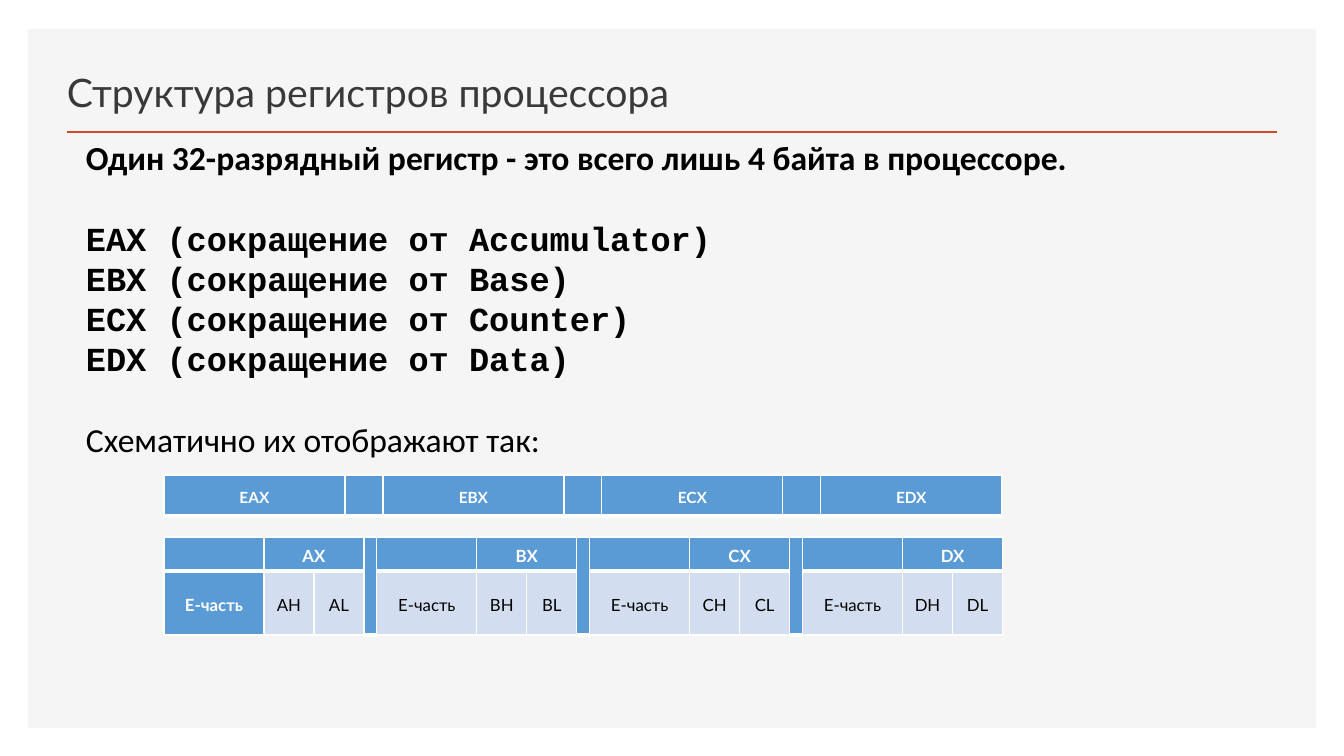
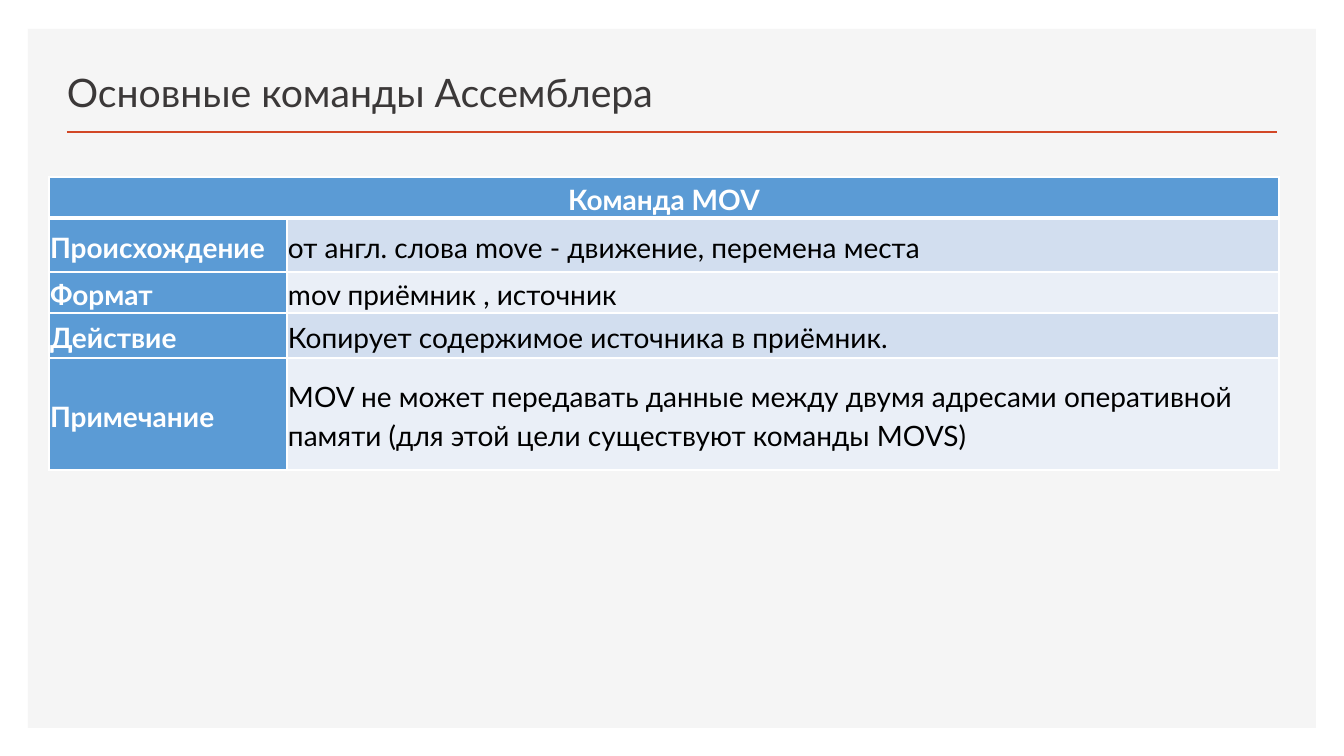
from dataclasses import dataclass

from lxml import etree
from pptx import Presentation
from pptx.dml.color import RGBColor
from pptx.enum.shapes import MSO_CONNECTOR, MSO_SHAPE
from pptx.enum.text import MSO_ANCHOR, PP_ALIGN
from pptx.oxml.ns import qn
from pptx.util import Emu, Pt

LEFT, CENTER = PP_ALIGN.LEFT, PP_ALIGN.CENTER
MIDDLE, BOTTOM = MSO_ANCHOR.MIDDLE, MSO_ANCHOR.BOTTOM
RECT, STRAIGHT = MSO_SHAPE.RECTANGLE, MSO_CONNECTOR.STRAIGHT
SCALE = 914400 / 100.8


@dataclass(frozen=True)
class Theme:
    panel: str = "F5F5F5"
    accent: str = "D24726"
    title: str = "3B3838"
    ink: str = "000000"
    white: str = "FFFFFF"
    head: str = "5B9BD5"
    band: str = "D2DEEF"
    pale: str = "EAEFF7"
    main: str = "Lato"
    body: str = "Calibri"
    code: str = "Courier New"
    title_size: int = 28
    body_size: int = 24
    big: int = 20
    medium: int = 12
    small: int = 11
    pitch: float = 28.8
    thin: int = 1
    thick: int = 3


THEME = Theme()


def px(value):
    return Emu(round(value * SCALE))


def rgb(value):
    return RGBColor.from_string(value)


def add_run(para, text, font, size, color, bold=False):
    run = para.add_run()
    run.text = text
    run.font.name = font
    run.font.size = Pt(size)
    run.font.bold = bold
    run.font.color.rgb = rgb(color)


def add_box(slide, left, top, width, height, anchor):
    box = slide.shapes.add_textbox(px(left), px(top), px(width), px(height))
    frame = box.text_frame
    frame.word_wrap = True
    frame.vertical_anchor = anchor
    return frame


def add_slide(deck, title):
    slide = deck.slides.add_slide(deck.slide_layouts[6])
    panel = slide.shapes.add_shape(RECT, px(28), px(29), px(1288), px(699))
    panel.shadow.inherit = False
    panel.fill.solid()
    panel.fill.fore_color.rgb = rgb(THEME.panel)
    panel.line.fill.background()
    rule = slide.shapes.add_connector(STRAIGHT, px(67), px(132), px(1277), px(132))
    rule.line.color.rgb = rgb(THEME.accent)
    rule.line.width = Pt(2)
    etree.SubElement(rule._element.spPr, qn("a:effectLst"))
    frame = add_box(slide, 57, 49, 1220, 71, BOTTOM)
    add_run(frame.paragraphs[0], title, THEME.main, THEME.title_size, THEME.title)
    return slide


def add_lines(slide, lines):
    frame = add_box(slide, 76, 130, 1220, 336, MIDDLE)
    for index, (text, font, bold, gap) in enumerate(lines):
        para = frame.paragraphs[0] if index == 0 else frame.add_paragraph()
        para.line_spacing = Pt(THEME.pitch)
        para.space_before = Pt(THEME.pitch if gap else 0)
        add_run(para, text, font, THEME.body_size, THEME.ink, bold)


def set_edges(cell, top, bottom):
    widths = {"L": THEME.thin, "R": THEME.thin, "T": top, "B": bottom}
    props = cell._tc.get_or_add_tcPr()
    for index, (side, width) in enumerate(widths.items()):
        edge = etree.Element(qn(f"a:ln{side}"), w=str(Pt(width)))
        fill = etree.SubElement(edge, qn("a:solidFill"))
        etree.SubElement(fill, qn("a:srgbClr"), val=THEME.white)
        props.insert(index, edge)


def fill_cell(cell, text, fill, align, size, inset):
    cell.fill.solid()
    cell.fill.fore_color.rgb = rgb(fill)
    cell.vertical_anchor = MIDDLE
    pad = px(inset if text else 1)
    cell.margin_left = cell.margin_right = pad
    cell.margin_top = cell.margin_bottom = pad
    para = cell.text_frame.paragraphs[0]
    para.alignment = align
    para.line_spacing = 1.15
    if text:
        head = fill == THEME.head
        color = THEME.white if head else THEME.ink
        add_run(para, text, THEME.main, size, color, head)


def add_grid(slide, left, top, cols, rows, cells, size, inset, spans=()):
    shape = slide.shapes.add_table(
        len(rows), len(cols), px(left), px(top), px(sum(cols)), px(sum(rows))
    )
    table = shape.table
    table.horz_banding = False
    for col, width in zip(table.columns, cols):
        col.width = px(width)
    for row, height in zip(table.rows, rows):
        row.height = px(height)
    for r, line in enumerate(cells):
        for c, (text, fill, align) in enumerate(line):
            cell = table.cell(r, c)
            fill_cell(cell, text, fill, align, size, inset)
            set_edges(
                cell,
                THEME.thick if r == 1 else THEME.thin,
                THEME.thick if r == 0 else THEME.thin,
            )
    for first, last in spans:
        table.cell(*first).merge(table.cell(*last))


def add_names(slide, names):
    cols, cells = [], []
    for name in names:
        if cells:
            cols.append(38)
            cells.append(("", THEME.head, CENTER))
        cols.append(181)
        cells.append((f"E{name}X", THEME.head, CENTER))
    add_grid(slide, 164, 475, cols, [40], [cells], THEME.small, 10)


def add_halves(slide, names):
    cols, heads, halves, spans = [], [], [], []
    blank = ("", THEME.head, CENTER)
    for name in names:
        tone = THEME.band if cols else THEME.head
        if cols:
            spans.append(((0, len(cols)), (1, len(cols))))
            cols.append(13)
            heads.append(blank)
            halves.append(blank)
        start = len(cols)
        spans.append(((0, start + 1), (0, start + 2)))
        cols += [100, 50, 50]
        heads += [blank, (f"{name}X", THEME.head, CENTER), blank]
        halves.append(("E-часть", tone, CENTER))
        halves += [(name + half, THEME.band, CENTER) for half in "HL"]
    add_grid(
        slide, 164, 537, cols, [34, 64], [heads, halves], THEME.medium, 2, spans
    )


def add_facts(slide, title, facts):
    cells = [[(title, THEME.head, CENTER), ("", THEME.head, CENTER)]]
    for index, (label, text) in enumerate(facts):
        tone = THEME.pale if index % 2 else THEME.band
        cells.append([(label, THEME.head, LEFT), (text, tone, LEFT)])
    rows = [41, 54, 41, 45, 112]
    spans = [((0, 0), (0, 1))]
    add_grid(slide, 49, 177, [238, 992], rows, cells, THEME.big, 1, spans)


def main():
    deck = Presentation()
    deck.slide_width, deck.slide_height = px(1344), px(756)

    slide = add_slide(deck, "Структура регистров процессора")
    words = ["Accumulator", "Base", "Counter", "Data"]
    intro = "Один 32-разрядный регистр - это всего лишь 4 байта в процессоре."
    lines = [(intro, THEME.body, True, False)]
    for index, word in enumerate(words):
        text = f"E{word[0]}X (сокращение от {word})"
        lines.append((text, THEME.code, True, index == 0))
    lines.append(("Схематично их отображают так:", THEME.body, False, True))
    names = [word[0] for word in words]
    add_names(slide, names)
    add_halves(slide, names)
    add_lines(slide, lines)

    slide = add_slide(deck, "Основные команды Ассемблера")
    add_facts(slide, "Команда MOV", [
        ("Происхождение", "от англ. слова move - движение, перемена места"),
        ("Формат", "mov приёмник , источник"),
        ("Действие", "Копирует содержимое источника в приёмник."),
        ("Примечание", "MOV не может передавать данные между двумя адресами "
         "оперативной памяти (для этой цели существуют команды MOVS)"),
    ])
    deck.save("out.pptx")


main()
